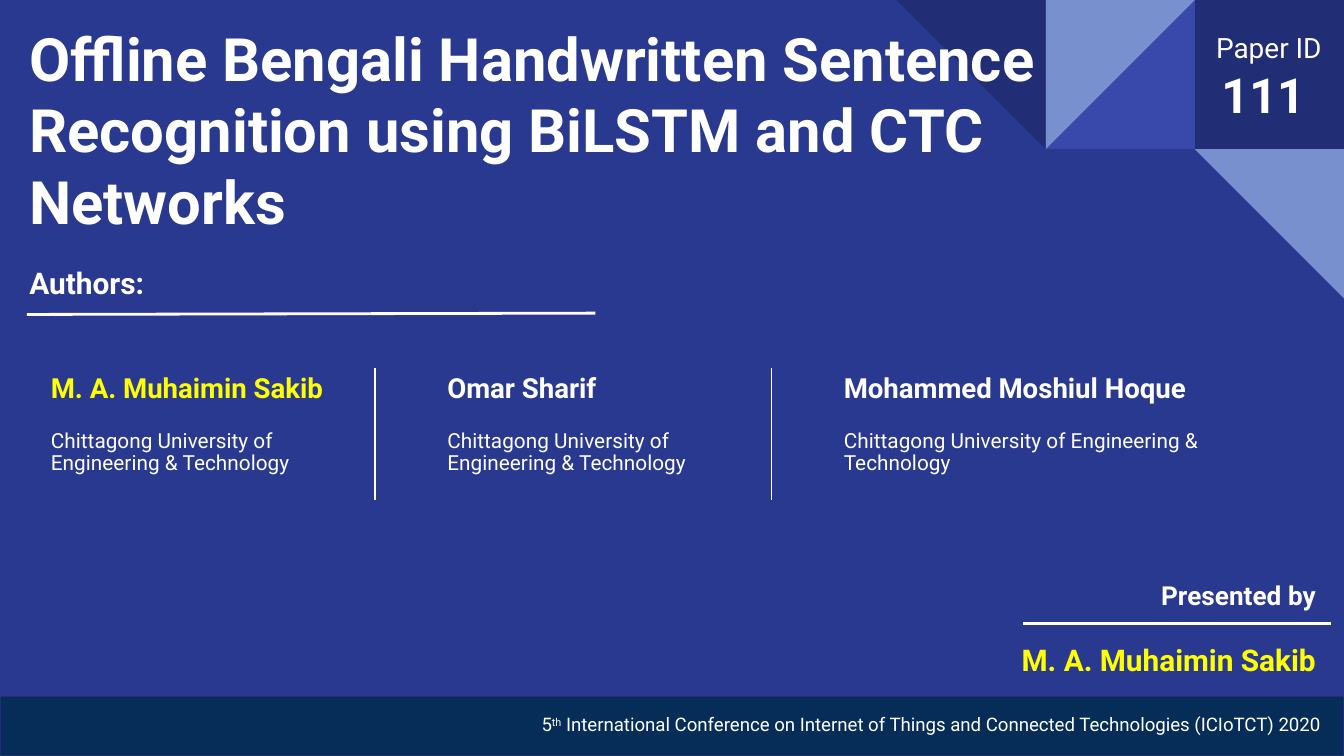
from lxml.etree import SubElement
from pptx import Presentation
from pptx.dml.color import RGBColor
from pptx.enum.shapes import MSO_CONNECTOR, MSO_SHAPE
from pptx.enum.text import MSO_ANCHOR, PP_ALIGN
from pptx.oxml.ns import qn
from pptx.util import Inches, Pt

FONT = "Roboto"
INDIGO = RGBColor(0x2A, 0x39, 0x90)
DARK_INDIGO = RGBColor(0x21, 0x2D, 0x74)
BRIGHT_INDIGO = RGBColor(0x39, 0x49, 0xAB)
PALE_BLUE = RGBColor(0x78, 0x90, 0xCD)
NAVY = RGBColor(0x05, 0x2D, 0x58)
WHITE = RGBColor(0xFF, 0xFF, 0xFF)
YELLOW = RGBColor(0xFF, 0xFF, 0x00)

WIDTH = 10
HEIGHT = WIDTH * 9 / 16
TILE = 1.11
FOOTER_HEIGHT = 0.44
SPEAKER = "M. A. Muhaimin Sakib"
UNIVERSITY = "Chittagong University of Engineering & Technology"
AUTHORS = [
    (SPEAKER, YELLOW, 0.28, 2.45),
    ("Omar Sharif", WHITE, 3.23, 2.22),
    ("Mohammed Moshiul Hoque", WHITE, 6.18, 3.02),
]


def add_box(page, left, top, width, height, anchor=MSO_ANCHOR.TOP):
    box = page.shapes.add_textbox(Inches(left), Inches(top), Inches(width), Inches(height))
    frame = box.text_frame
    frame.word_wrap = True
    frame.vertical_anchor = anchor
    frame.margin_left = frame.margin_right = Inches(0.1)
    frame.margin_top = frame.margin_bottom = Inches(0.1)
    return frame


def add_span(para, text, size, color=WHITE, bold=False, superscript=False):
    span = para.add_run()
    span.text = text
    span.font.name = FONT
    span.font.size = Pt(size)
    span.font.bold = bold
    span.font.color.rgb = color
    if superscript:
        span.font._element.set("baseline", "30000")


def add_text(frame, text, align=PP_ALIGN.LEFT, spacing=1.0, before=0, indent=0, **style):
    """Write a paragraph; the first one fills the frame's empty paragraph."""
    para = frame.paragraphs[0]
    if para.runs:
        para = frame.add_paragraph()
    para.alignment = align
    para.line_spacing = spacing
    if before:
        para.space_before = Pt(before)
    if indent:
        para._p.get_or_add_pPr().set("marL", str(Inches(indent)))
    add_span(para, text, **style)
    return para


def add_block(page, kind, left, top, width, height, fill, outline=None, rotation=0):
    block = page.shapes.add_shape(kind, Inches(left), Inches(top), Inches(width), Inches(height))
    block.shadow.inherit = False
    block.rotation = rotation
    block.fill.solid()
    block.fill.fore_color.rgb = fill
    if outline is None:
        block.line.fill.background()
    else:
        block.line.color.rgb = outline
        block.line.width = Pt(0.75)


def add_rule(page, x1, y1, x2, y2, weight):
    rule = page.shapes.add_connector(
        MSO_CONNECTOR.STRAIGHT, Inches(x1), Inches(y1), Inches(x2), Inches(y2))
    rule.line.color.rgb = WHITE
    rule.line.width = Pt(weight)
    SubElement(rule._element.spPr, qn("a:effectLst"))


def add_corner_tiles(page):
    """Lay the square and triangles on a grid counted from the right edge."""
    triangle = MSO_SHAPE.RIGHT_TRIANGLE
    tiles = [
        (MSO_SHAPE.RECTANGLE, 1, 0, DARK_INDIGO, 0),
        (triangle, 2, 0, BRIGHT_INDIGO, 270),
        (triangle, 2, 0, PALE_BLUE, 90),
        (triangle, 3, 0, DARK_INDIGO, 180),
        (triangle, 1, 1, PALE_BLUE, 180),
    ]
    for kind, column, row, fill, rotation in tiles:
        add_block(page, kind, WIDTH - column * TILE, row * TILE, TILE, TILE, fill,
                  rotation=rotation)


def add_heading(page):
    title = add_box(page, 0.12, 0.15, 7.84, 1.71, anchor=MSO_ANCHOR.BOTTOM)
    add_text(title, "Offline Bengali Handwritten Sentence Recognition using BiLSTM and CTC Networks",
             size=32, bold=True)
    paper = add_box(page, 8.9, 0.13, 1.1, 0.98)
    add_text(paper, "Paper ID", indent=0.05, size=15)
    add_text(paper, "111", indent=0.09, size=26, bold=True)


def add_authors(page):
    label = add_box(page, 0.12, 1.87, 1.38, 0.48)
    add_text(label, "Authors:", size=16, bold=True)
    add_rule(page, 0.2, 2.34, 4.43, 2.33, 1.5)
    for name, color, left, width in AUTHORS:
        card = add_box(page, left, 2.69, width, 1.07)
        add_text(card, name, spacing=0.9, size=14.8, color=color, bold=True)
        add_text(card, UNIVERSITY, spacing=0.9, before=13.6, size=11.1)
    for _, _, left, _ in AUTHORS[1:]:
        add_rule(page, left - 0.44, 2.74, left - 0.44, 3.72, 0.75)


def add_footer(page):
    top = HEIGHT - FOOTER_HEIGHT
    add_block(page, MSO_SHAPE.RECTANGLE, 0, top, WIDTH, FOOTER_HEIGHT, NAVY, outline=DARK_INDIGO)
    footer = add_box(page, 2.21, top, 7.71, FOOTER_HEIGHT)
    para = add_text(footer, "5", align=PP_ALIGN.RIGHT, spacing=1.15, size=10)
    add_span(para, "th", 10, superscript=True)
    add_span(para, " International Conference on Internet of Things"
                   " and Connected Technologies (ICIoTCT) 2020", 10)


def add_presenter(page):
    box = add_box(page, 6.95, 4.21, 2.94, 0.98)
    add_text(box, "Presented by", align=PP_ALIGN.RIGHT, size=14, bold=True)
    add_text(box, SPEAKER, align=PP_ALIGN.RIGHT, before=16.4, size=16, color=YELLOW, bold=True)
    add_rule(page, 7.61, 4.64, 9.9, 4.64, 1.5)


def main():
    deck = Presentation()
    deck.slide_width, deck.slide_height = Inches(WIDTH), Inches(HEIGHT)
    page = deck.slides.add_slide(deck.slide_layouts[6])
    page.background.fill.solid()
    page.background.fill.fore_color.rgb = INDIGO
    add_corner_tiles(page)
    add_heading(page)
    add_authors(page)
    add_footer(page)
    add_presenter(page)
    deck.save("out.pptx")


if __name__ == "__main__":
    main()
